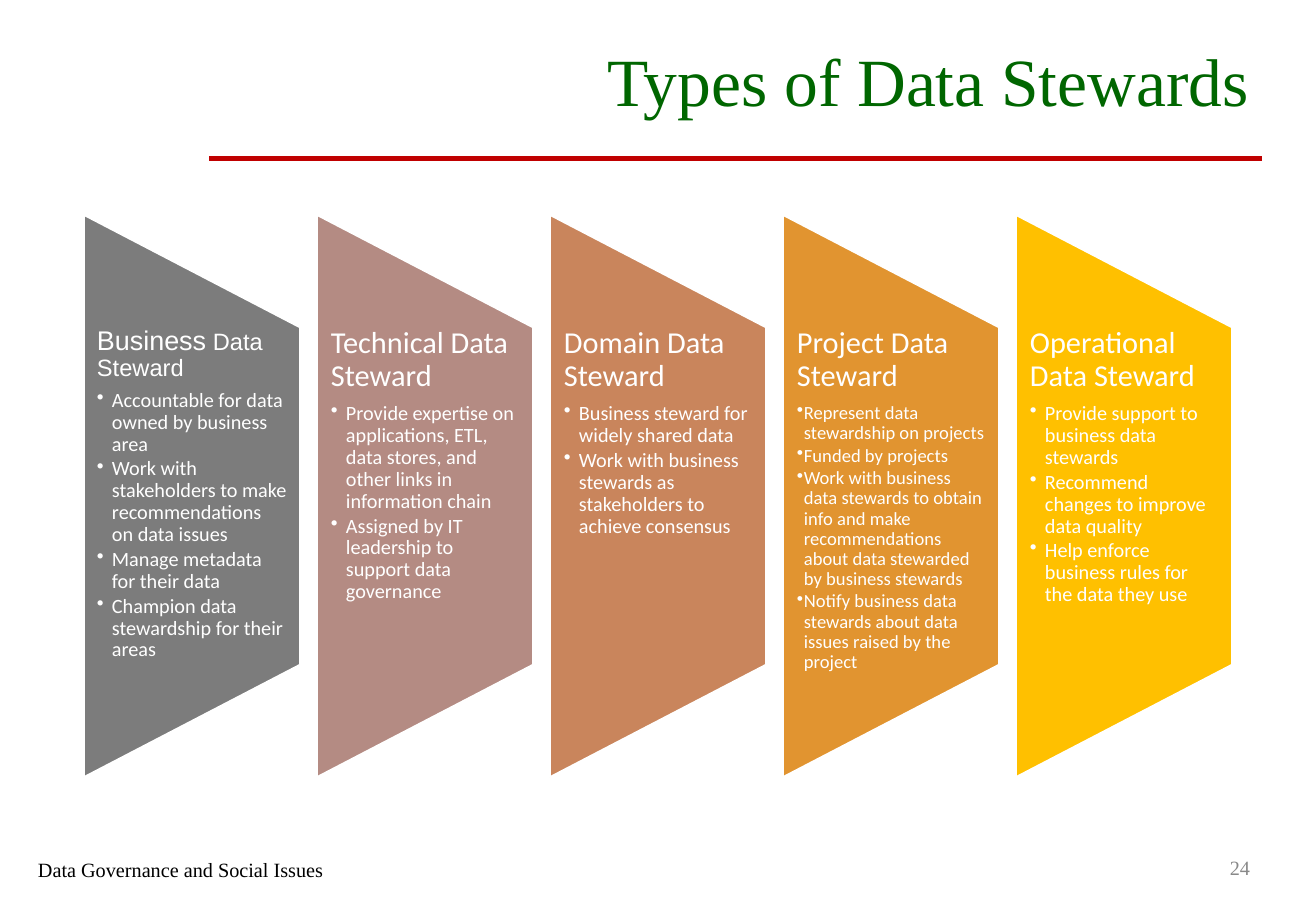
import pptx
import pptx.util
import lxml.etree
from pptx.dml.color import RGBColor
from pptx.enum.shapes import MSO_CONNECTOR, MSO_SHAPE
from pptx.enum.text import MSO_ANCHOR, MSO_AUTO_SIZE, PP_ALIGN
from pptx.oxml.ns import qn

EMU_PER_PX = 7526
GREEN = RGBColor(0x00, 0x66, 0x00)
RED = RGBColor(0xC0, 0x00, 0x00)
WHITE = RGBColor(0xFF, 0xFF, 0xFF)
BLACK = RGBColor(0x00, 0x00, 0x00)
GRAY = RGBColor(0x89, 0x89, 0x89)

PANEL_LEFT, PANEL_PITCH, PANEL_WIDTH = 84, 233, 216
PANEL_HEIGHT, PANEL_CENTER_Y = 562, 496
TEXT_TOP, TEXT_HEIGHT = 327, 338

# fill, heading runs (text, size, font), inset, bullet size, bullet indent, bullets
STEWARDS = [
    (RGBColor(0x7C, 0x7C, 0x7C),
     [("Business", 16, "Arial"), (" Data Steward", 14, "Arial")], 13, 12, 15,
     ["Accountable for data owned by business area",
      "Work with stakeholders to make recommendations on data issues",
      "Manage metadata for their data",
      "Champion data stewardship for their areas"]),
    (RGBColor(0xB4, 0x8B, 0x83),
     [("Technical Data Steward", 18, "Calibri")], 14, 12, 15,
     ["Provide expertise on applications, ETL, data stores, and other links in information chain",
      "Assigned by IT leadership to support data governance"]),
    (RGBColor(0xC9, 0x85, 0x5C),
     [("Domain Data Steward", 18, "Calibri")], 14, 12, 15,
     ["Business steward for widely shared data",
      "Work with business stewards as stakeholders to achieve consensus"]),
    (RGBColor(0xE1, 0x94, 0x30),
     [("Project Data Steward", 18, "Calibri")], 14, 11, 7,
     ["Represent data stewardship on projects",
      "Funded by projects",
      "Work with business data stewards to obtain info and make recommendations "
      "about data stewarded by business stewards",
      "Notify business data stewards about data issues raised by the project"]),
    (RGBColor(0xFF, 0xC0, 0x00),
     [("Operational Data Steward", 18, "Calibri")], 14, 12, 15,
     ["Provide support to business data stewards",
      "Recommend changes to improve data quality",
      "Help enforce business rules for the data they use"]),
]


def px(*lengths):
    """Turn pixel lengths into EMU."""
    return [pptx.util.Emu(length * EMU_PER_PX) for length in lengths]


def format_run(run, size, font_name, color):
    run.font.size = pptx.util.Pt(size)
    run.font.name = font_name
    run.font.color.rgb = color


presentation = pptx.Presentation()
presentation.slide_width, presentation.slide_height = px(1316, 911)
slide = presentation.slides.add_slide(presentation.slide_layouts[5])

# Title and rule
title = slide.shapes.title
title.left, title.top, title.width, title.height = px(237, 19, 1024, 120)
title.text_frame.text = "Types of Data Stewards"
title.text_frame.auto_size = MSO_AUTO_SIZE.NONE
title.text_frame.vertical_anchor = MSO_ANCHOR.MIDDLE
title.text_frame.paragraphs[0].alignment = PP_ALIGN.RIGHT
format_run(title.text_frame.paragraphs[0].runs[0], 40, "Times New Roman", GREEN)

rule = slide.shapes.add_connector(MSO_CONNECTOR.STRAIGHT, *px(1262, 159, 209, 159))
rule.line.color.rgb = RED
rule.line.width = pptx.util.Pt(3)
lxml.etree.SubElement(rule._element.spPr, qn("a:effectLst"))

# Steward panels
for index, (fill, heading, inset, size, indent, bullets) in enumerate(STEWARDS):
    left = PANEL_LEFT + index * PANEL_PITCH
    panel = slide.shapes.add_shape(
        MSO_SHAPE.FLOWCHART_MANUAL_OPERATION,
        *px(left + (PANEL_WIDTH - PANEL_HEIGHT) // 2, PANEL_CENTER_Y - PANEL_WIDTH // 2,
            PANEL_HEIGHT, PANEL_WIDTH))
    panel.rotation = 270
    panel.shadow.inherit = False
    panel.fill.solid()
    panel.fill.fore_color.rgb = fill
    panel.line.color.rgb = WHITE
    panel.line.width = pptx.util.Pt(1)

    text_box = slide.shapes.add_textbox(*px(left, TEXT_TOP, PANEL_WIDTH, TEXT_HEIGHT))
    text_frame = text_box.text_frame
    text_frame.word_wrap = True
    text_frame.margin_left, text_frame.margin_right = px(inset, inset)
    text_frame.margin_top = text_frame.margin_bottom = 0
    paragraph = text_frame.paragraphs[0]
    paragraph.line_spacing = 0.9
    paragraph.space_after = pptx.util.Pt(0.35 * heading[-1][1])
    for text, heading_size, font_name in heading:
        run = paragraph.add_run()
        run.text = text
        format_run(run, heading_size, font_name, WHITE)

    for bullet in bullets:
        paragraph = text_frame.add_paragraph()
        paragraph.text = bullet
        paragraph.level = 1
        paragraph.line_spacing = 0.9
        paragraph.space_after = pptx.util.Pt(0.15 * size)
        format_run(paragraph.runs[0], size, "Calibri", WHITE)
        properties = paragraph._p.get_or_add_pPr()
        hanging = px(indent)[0]
        properties.set("marL", str(hanging))
        properties.set("indent", str(-hanging))
        lxml.etree.SubElement(properties, qn("a:buChar"), char="•")

# Footer and slide number
for box, text, color, alignment, anchor in [
    ((1194, 843, 68, 49), "24", GRAY, PP_ALIGN.RIGHT, MSO_ANCHOR.MIDDLE),
    ((26, 851, 326, 34), "Data Governance and Social Issues", BLACK, PP_ALIGN.LEFT, MSO_ANCHOR.TOP),
]:
    text_box = slide.shapes.add_textbox(*px(*box))
    text_frame = text_box.text_frame
    text_frame.word_wrap = True
    text_frame.vertical_anchor = anchor
    text_frame.text = text
    text_frame.paragraphs[0].alignment = alignment
    format_run(text_frame.paragraphs[0].runs[0], 12, "Times New Roman", color)

presentation.save("out.pptx")
